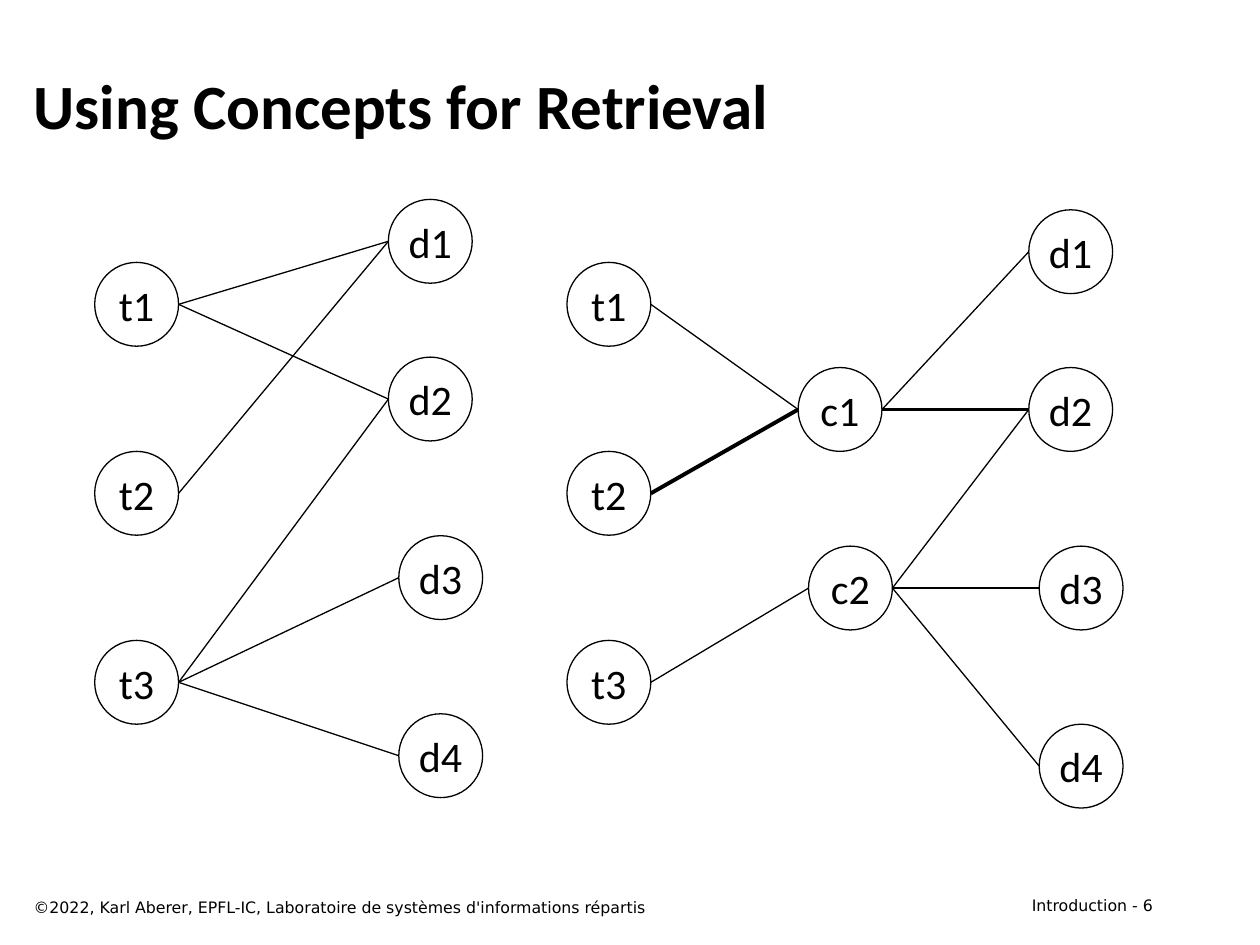
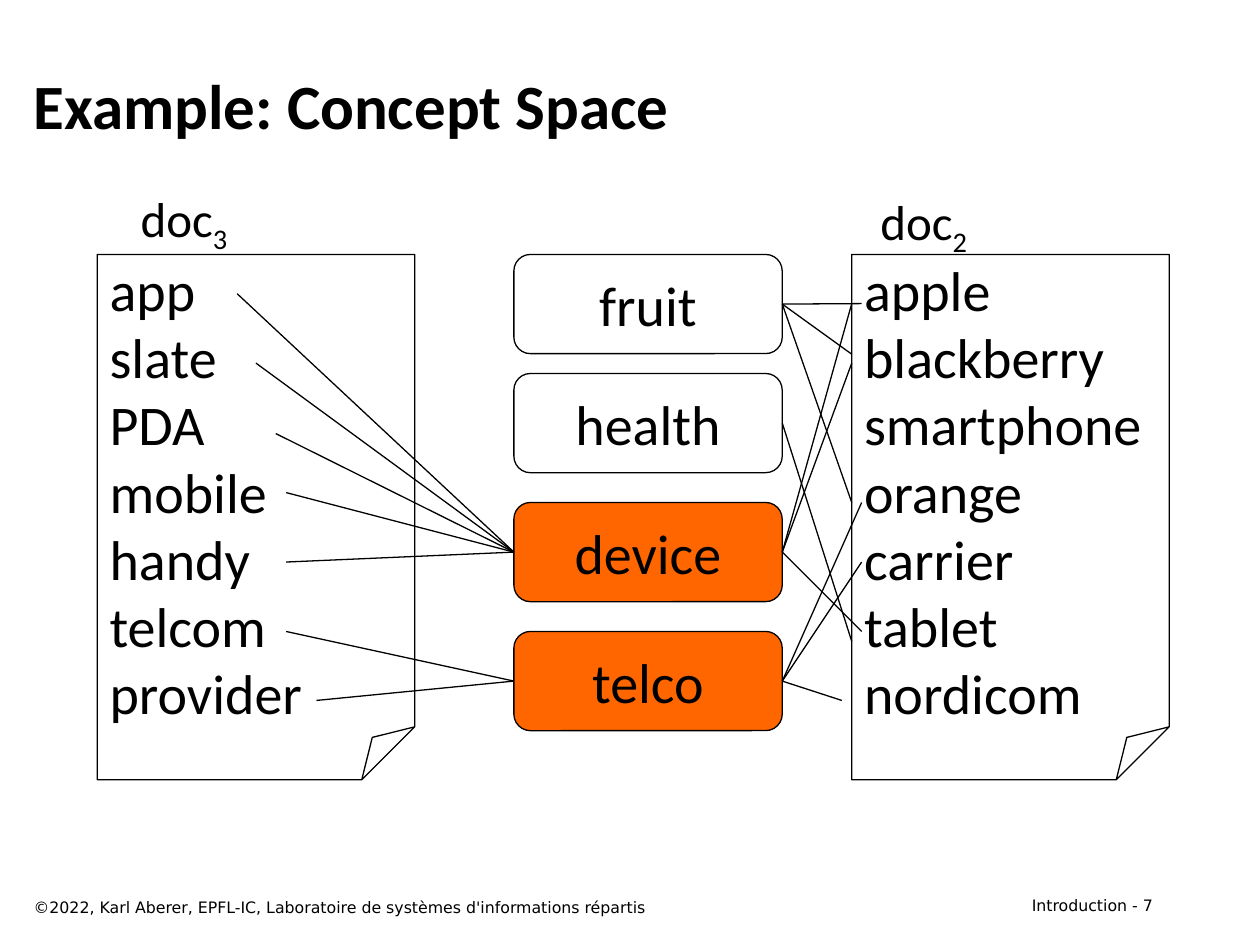
from lxml.etree import SubElement
from pptx import Presentation
from pptx.dml.color import RGBColor
from pptx.enum.shapes import MSO_CONNECTOR, MSO_SHAPE
from pptx.enum.text import MSO_ANCHOR, PP_ALIGN
from pptx.oxml.ns import qn
from pptx.util import Cm, Pt

BLACK, WHITE, ORANGE = "000000", "FFFFFF", "FF6600"
BODY_FONT, FOOTER_FONT = "Calibri", "DejaVu Sans"
THIN, THICK = 0.75, 2.25
LEFT, RIGHT = 1, 3
NODE = 1.69


def color(value):
    """Turn a hex string into a colour."""
    return RGBColor.from_string(value)


class Deck:
    """Hold the shared style and the current slide."""

    def __init__(self):
        """Open an empty 4:3 presentation."""
        self.prs = Presentation()
        self.prs.slide_width, self.prs.slide_height = Cm(25.4), Cm(19.05)
        self.s = None

    def slide(self, title, number):
        """Start a slide with its title and footers."""
        self.s = self.prs.slides.add_slide(self.prs.slide_layouts[6])
        tf = self.text(title, 0.43, 0.84, 23.06, 2.54, 36, bold=True)
        tf.vertical_anchor = MSO_ANCHOR.MIDDLE
        self.text("©2022, Karl Aberer, EPFL-IC, Laboratoire de systèmes d'informations répartis",
                  0.43, 17.98, 16.31, 0.64, 9, font=FOOTER_FONT)
        self.text(f"Introduction - {number}", 18.21, 17.93, 5.28, 0.64, 9,
                  PP_ALIGN.RIGHT, font=FOOTER_FONT)

    def format(self, tf, size, align, bold=False, font=BODY_FONT):
        """Set alignment and font throughout a text frame."""
        for p in tf.paragraphs:
            p.alignment = align
            for r in p.runs:
                r.font.size, r.font.name, r.font.bold = Pt(size), font, bold
                r.font.color.rgb = color(BLACK)

    def text(self, text, x, y, w, h, size, align=PP_ALIGN.LEFT, bold=False, font=BODY_FONT):
        """Add a text box and return its text frame."""
        tf = self.s.shapes.add_textbox(Cm(x), Cm(y), Cm(w), Cm(h)).text_frame
        tf.word_wrap = True
        tf.text = text
        self.format(tf, size, align, bold, font)
        return tf

    def shape(self, kind, text, x, y, w, h, size, align=PP_ALIGN.CENTER, fill=None):
        """Add an outlined shape with vertically centred text."""
        sp = self.s.shapes.add_shape(kind, Cm(x), Cm(y), Cm(w), Cm(h))
        sp.shadow.inherit = False
        if fill:
            sp.fill.solid()
            sp.fill.fore_color.rgb = color(fill)
        else:
            sp.fill.background()
        sp.line.color.rgb, sp.line.width = color(BLACK), Pt(THIN)
        tf = sp.text_frame
        tf.text = text
        tf.word_wrap = True
        tf.vertical_anchor = MSO_ANCHOR.MIDDLE
        self.format(tf, size, align)
        return sp

    def node(self, name, x, y):
        """Add a circle of the graph."""
        sp = self.shape(MSO_SHAPE.OVAL, name, x, y, NODE, NODE, 24)
        sp.text_frame.word_wrap = False
        return sp

    def line(self, x1, y1, x2, y2, width=THIN):
        """Add a straight line between two points."""
        cx = self.s.shapes.add_connector(MSO_CONNECTOR.STRAIGHT, x1, y1, x2, y2)
        cx.line.color.rgb, cx.line.width = color(BLACK), Pt(width)
        SubElement(cx._element.spPr, qn("a:effectLst"))
        return cx

    def edge(self, a, b, width=THIN):
        """Link the right of one node to the left of another."""
        self.line(a.left + a.width, a.top + a.height // 2, b.left, b.top + b.height // 2, width)

    def graph(self, nodes, edges, bold=()):
        """Draw named nodes and the edges between them."""
        made = {name: self.node(name, x, y) for name, (x, y) in nodes.items()}
        for pair in edges.split():
            a, b = pair.split("-")
            self.edge(made[a], made[b], THICK if pair in bold else THIN)

    def document(self, text, number, x, label_x, label_y):
        """Add a document page of terms with its label."""
        sp = self.shape(MSO_SHAPE.FOLDED_CORNER, text, x, 5.13, 6.4, 10.59, 32, PP_ALIGN.LEFT)
        sp.text_frame.paragraphs[0].space_before = Pt(6.4)
        tf = self.text("doc", label_x, label_y, 2.34, 1.45, 28, PP_ALIGN.CENTER)
        tf.word_wrap = False
        tf.paragraphs[0].add_run().text = number
        self.format(tf, 28, PP_ALIGN.CENTER)
        tf.paragraphs[0].runs[1]._r.get_or_add_rPr().set("baseline", "-25000")

    def concept(self, name, y, fill, left_ends, right_ends):
        """Add a concept box and its links to document terms."""
        sp = self.shape(MSO_SHAPE.ROUNDED_RECTANGLE, name, 10.36, y, 5.41, 2, 32, fill=fill)
        for side, ends in ((LEFT, left_ends), (RIGHT, right_ends)):
            for x, end_y in ends:
                cx = self.line(Cm(x), Cm(end_y), sp.left, sp.top)
                cx.end_connect(sp, side)


def terms(x):
    """Place the three term nodes in a column."""
    return {f"t{i + 1}": (x, 5.29 + 3.81 * i) for i in range(3)}


def documents(x, dy=0):
    """Place the four document nodes, the lower two slightly to the right."""
    tops = (4.02, 7.2, 10.8, 14.39)
    return {f"d{i + 1}": (x + 0.21 * (i // 2), y + dy) for i, y in enumerate(tops)}


def main():
    """Build both slides."""
    deck = Deck()
    deck.slide("Using Concepts for Retrieval", 6)
    deck.graph(terms(1.91) | documents(7.83), "t1-d1 t2-d1 t1-d2 t3-d4 t3-d3 t3-d2")
    concepts = {"c1": (16.09, 7.41), "c2": (16.3, 11.01)}
    deck.graph(terms(11.43) | documents(20.74, 0.21) | concepts,
               "t1-c1 t2-c1 t3-c2 c1-d1 c1-d2 c2-d2 c2-d3 c2-d4", ("t2-c1", "c1-d2"))

    deck.slide("Example: Concept Space", 7)
    deck.document("apple blackberry smartphone orange carrier tablet\vnordicom",
                  "2", 17.17, 17.45, 3.73)
    deck.document("app\vslate\vPDA\vmobile handy\vtelcom provider", "3", 1.96, 2.54, 3.68)
    deck.concept("fruit", 5.13, WHITE, [], [(17.37, 6.12), (17.17, 7.14), (17.17, 10.13)])
    deck.concept("health", 7.53, WHITE, [], [(17.17, 12.93)])
    deck.concept("device", 10.13, ORANGE,
                 [(4.78, 5.92), (5.16, 7.32), (5.56, 8.74), (5.77, 9.93), (5.77, 11.33)],
                 [(17.17, 6.12), (17.17, 7.32), (17.37, 12.73)])
    deck.concept("telco", 12.73, ORANGE, [(5.77, 12.73), (6.38, 14.12)],
                 [(16.97, 14.12), (17.37, 11.33), (17.37, 10.13)])
    deck.prs.save("out.pptx")


if __name__ == "__main__":
    main()
